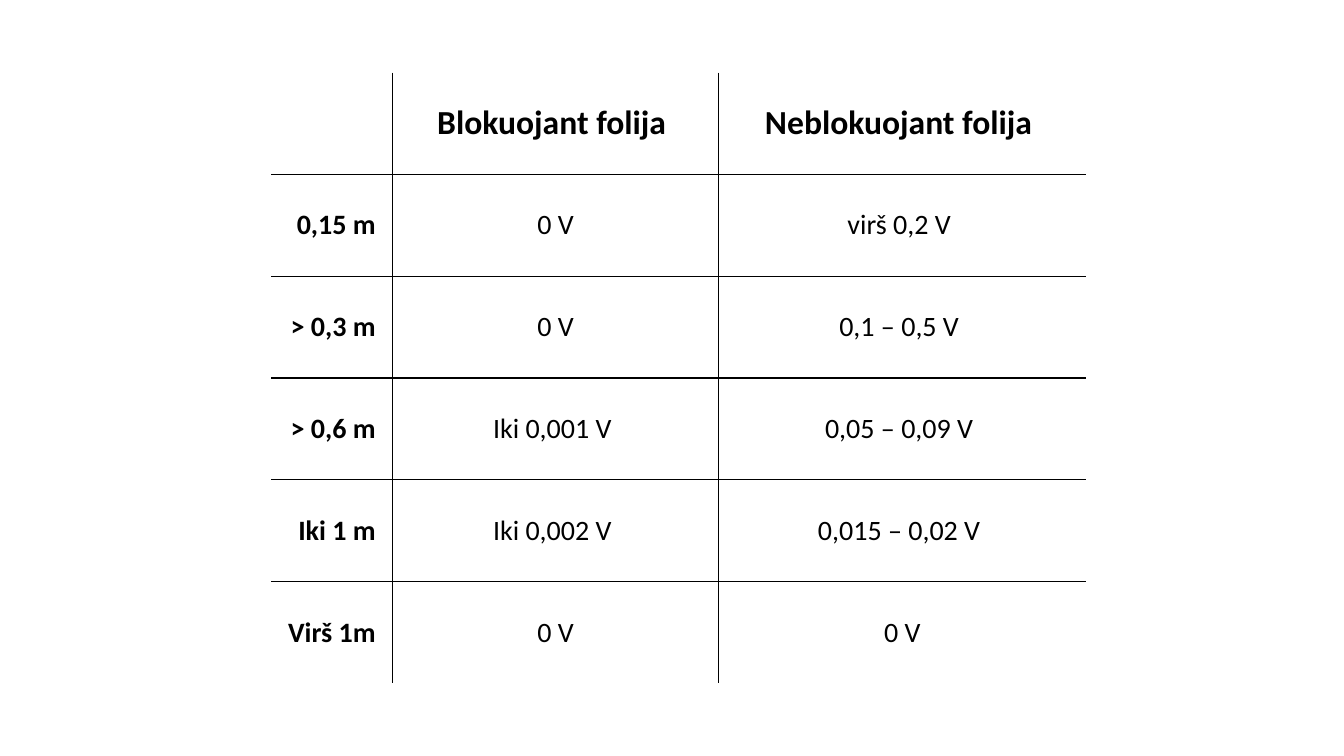
from lxml import etree
from pptx import Presentation
from pptx import util as u
from pptx.dml.color import RGBColor
from pptx.enum import text
from pptx.oxml import ns

SLIDE_W, SLIDE_H = 13.33, 7.5
LEFT, TOP = 2.69, 0.72
COL_WIDTHS = [1.2, 3.24, 3.64]
ROW_HEIGHT = 1.01
BLACK = "000000"

# Voltage by distance, with and without blocking foil
ROWS = [
    ["", "Blokuojant folija ", "Neblokuojant folija "],
    ["0,15 m ", "0 V", "virš 0,2 V "],
    ["> 0,3 m ", "0 V", "0,1 – 0,5 V "],
    ["> 0,6 m ", "Iki 0,001 V ", "0,05 – 0,09 V "],
    ["Iki 1 m ", "Iki 0,002 V ", "0,015 – 0,02 V "],
    ["Virš 1m ", "0 V", "0 V"],
]

HEADER = {"size": u.Pt(24), "bold": True}
LABEL = {"size": u.Pt(20), "bold": True}
VALUE = {"size": u.Pt(20), "bold": False}


def color(value):
    return RGBColor.from_string(value)


def set_borders(cell, sides):
    """Draw a 1 pt line on each side marked True and none on the others."""
    tcPr = cell._tc.get_or_add_tcPr()
    for i, (side, drawn) in enumerate(sides.items()):
        ln = etree.Element(ns.qn("a:ln" + side), w=str(u.Pt(1)))
        if drawn:
            fill = etree.SubElement(ln, ns.qn("a:solidFill"))
            etree.SubElement(fill, ns.qn("a:srgbClr"), val=BLACK)
        else:
            etree.SubElement(ln, ns.qn("a:noFill"))
        tcPr.insert(i, ln)


def fill_cell(cell, words, fmt, align):
    cell.fill.background()
    cell.vertical_anchor = text.MSO_ANCHOR.MIDDLE
    p = cell.text_frame.paragraphs[0]
    p.alignment = align
    if words:
        r = p.add_run()
        r.text = words
        for name, value in {"name": "Calibri", **fmt}.items():
            setattr(r.font, name, value)
        r.font.color.rgb = color(BLACK)


def add_grid(slide, rows):
    n_rows, n_cols = len(rows), len(COL_WIDTHS)
    size = [sum(COL_WIDTHS), n_rows * ROW_HEIGHT]
    box = [u.Inches(v) for v in (LEFT, TOP, *size)]
    table = slide.shapes.add_table(n_rows, n_cols, *box).table
    table.first_row = table.horz_banding = False
    for column, width in zip(table.columns, COL_WIDTHS):
        column.width = u.Inches(width)

    for i, row in enumerate(rows):
        table.rows[i].height = u.Inches(ROW_HEIGHT)
        for j, words in enumerate(row):
            fmt = HEADER if i == 0 else LABEL if j == 0 else VALUE
            align = text.PP_ALIGN.RIGHT if j == 0 else text.PP_ALIGN.CENTER
            cell = table.cell(i, j)
            fill_cell(cell, words, fmt, align)
            # Only the inner lines of the grid show
            set_borders(cell, {"L": j > 0, "R": j < n_cols - 1,
                               "T": i > 0, "B": i < n_rows - 1})


def main():
    prs = Presentation()
    prs.slide_width, prs.slide_height = u.Inches(SLIDE_W), u.Inches(SLIDE_H)
    slide = prs.slides.add_slide(prs.slide_layouts[6])
    add_grid(slide, ROWS)
    prs.save("out.pptx")


if __name__ == "__main__":
    main()
